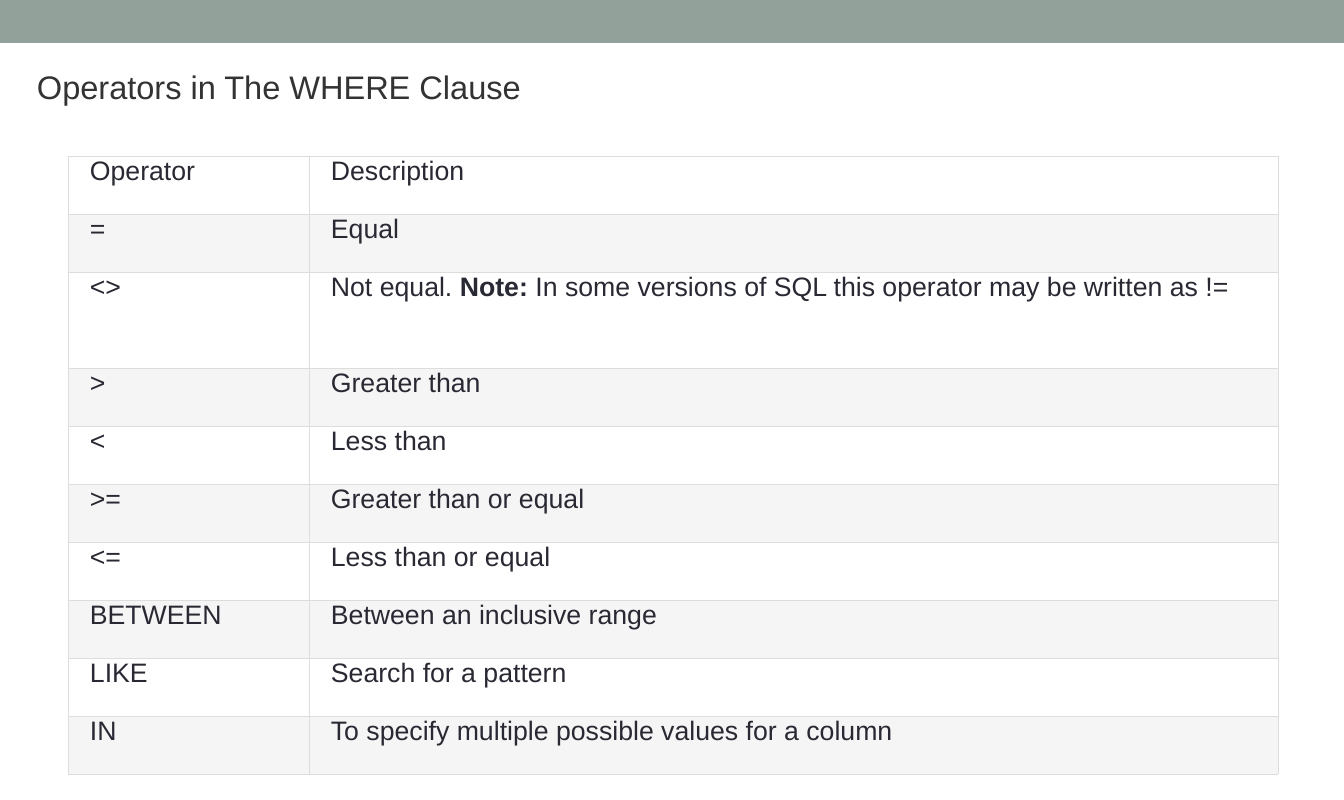
from dataclasses import dataclass

from lxml import etree
from pptx import Presentation
from pptx.dml.color import RGBColor
from pptx.enum.shapes import MSO_SHAPE
from pptx.enum.text import MSO_ANCHOR, MSO_AUTO_SIZE, PP_ALIGN
from pptx.oxml.ns import qn
from pptx.slide import Slide
from pptx.table import _Cell
from pptx.text.text import _Paragraph
from pptx.util import Emu, Pt

RECTANGLE = MSO_SHAPE.RECTANGLE
TOP = MSO_ANCHOR.TOP
CENTER = PP_ALIGN.CENTER
NO_AUTOFIT = MSO_AUTO_SIZE.NONE
EMU_PER_PX = 8572.5
TITLE_ONLY = 5
SLIDE_W, SLIDE_H = 1344, 800
BAR_H = 43
TABLE_LEFT, TABLE_TOP = 68, 156
COLUMN_WIDTHS = (241, 969)
ROW_H, NOTE_ROW_H = 58, 96
CELL_PAD = 11
BORDER_SIDES = ("a:lnL", "a:lnR", "a:lnT", "a:lnB")


@dataclass(frozen=True)
class Theme:
    font: str = "Arial"
    bar: RGBColor = RGBColor(0x92, 0xA1, 0x99)
    title: RGBColor = RGBColor(0x33, 0x33, 0x33)
    text: RGBColor = RGBColor(0x29, 0x29, 0x34)
    band: RGBColor = RGBColor(0xF5, 0xF5, 0xF5)
    border: RGBColor = RGBColor(0xDD, 0xDD, 0xDD)
    title_size: Pt = Pt(22)
    text_size: Pt = Pt(18)
    title_space: Pt = Pt(1)
    text_space: Pt = Pt(4.2)
    border_width: Pt = Pt(0.34)


@dataclass(frozen=True)
class OperatorRow:
    operator: str
    description: str
    note: str = ""
    remark: str = ""

    @property
    def height(self) -> int:
        return NOTE_ROW_H if self.note else ROW_H


THEME = Theme()
ROWS = (
    OperatorRow("Operator", "Description"),
    OperatorRow("=", "Equal"),
    OperatorRow("<>", "Not equal. ", "Note: ",
                "In some versions of SQL this operator may be written as !="),
    OperatorRow(">", "Greater than"),
    OperatorRow("<", "Less than"),
    OperatorRow(">=", "Greater than or equal"),
    OperatorRow("<=", "Less than or equal"),
    OperatorRow("BETWEEN", "Between an inclusive range"),
    OperatorRow("LIKE", "Search for a pattern"),
    OperatorRow("IN", "To specify multiple possible values for a column"),
)


def px(value: int) -> Emu:
    return Emu(round(value * EMU_PER_PX))


def format_runs(p: _Paragraph, size: Pt, color: RGBColor) -> None:
    for r in p.runs:
        r.font.name = THEME.font
        r.font.size = size
        r.font.color.rgb = color


def add_bar(s: Slide) -> None:
    sp = s.shapes.add_shape(RECTANGLE, 0, 0, px(SLIDE_W), px(BAR_H))
    sp.shadow.inherit = False
    sp.fill.solid()
    sp.fill.fore_color.rgb = THEME.bar
    sp.line.fill.background()


def set_title(s: Slide, text: str) -> None:
    sp = s.shapes.title
    sp.left, sp.top, sp.width, sp.height = map(px, (35, 66, 488, 42))
    tf = sp.text_frame
    tf.text = text
    tf.margin_left = tf.margin_right = tf.margin_bottom = 0
    tf.margin_top = px(1)
    tf.vertical_anchor = TOP
    tf.auto_size = NO_AUTOFIT
    tf.word_wrap = False
    p = tf.paragraphs[0]
    p.alignment = CENTER
    p.space_before = THEME.title_space
    format_runs(p, THEME.title_size, THEME.title)


def add_borders(cell: _Cell) -> None:
    props = cell._tc.get_or_add_tcPr()
    for index, side in enumerate(BORDER_SIDES):
        line = etree.Element(qn(side), w=str(THEME.border_width))
        fill = etree.SubElement(line, qn("a:solidFill"))
        etree.SubElement(fill, qn("a:srgbClr"), val=str(THEME.border))
        props.insert(index, line)


def fill_cell(cell: _Cell, parts: tuple[str, ...], banded: bool) -> None:
    cell.margin_left = cell.margin_right = px(CELL_PAD)
    cell.margin_top = cell.margin_bottom = 0
    cell.vertical_anchor = TOP
    if banded:
        cell.fill.solid()
        cell.fill.fore_color.rgb = THEME.band
    else:
        cell.fill.background()
    add_borders(cell)
    p = cell.text_frame.paragraphs[0]
    p.space_before = THEME.text_space
    p._p.get_or_add_pPr().set("marL", str(px(CELL_PAD)))
    for index, part in enumerate(parts):
        if part:
            r = p.add_run()
            r.text = part
            r.font.bold = index == 1
    format_runs(p, THEME.text_size, THEME.text)


def add_operator_table(s: Slide) -> None:
    height = sum(row.height for row in ROWS)
    table = s.shapes.add_table(
        len(ROWS), len(COLUMN_WIDTHS), px(TABLE_LEFT), px(TABLE_TOP),
        px(sum(COLUMN_WIDTHS)), px(height)).table
    table.first_row = False
    table.horz_banding = False
    for column, width in zip(table.columns, COLUMN_WIDTHS):
        column.width = px(width)
    for index, row in enumerate(ROWS):
        table.rows[index].height = px(row.height)
        banded = index % 2 == 1
        fill_cell(table.cell(index, 0), (row.operator,), banded)
        fill_cell(table.cell(index, 1),
                  (row.description, row.note, row.remark), banded)


def main() -> None:
    prs = Presentation()
    prs.slide_width, prs.slide_height = px(SLIDE_W), px(SLIDE_H)
    s = prs.slides.add_slide(prs.slide_layouts[TITLE_ONLY])
    add_bar(s)
    add_operator_table(s)
    set_title(s, "Operators in The WHERE Clause")
    prs.save("out.pptx")


if __name__ == "__main__":
    main()
